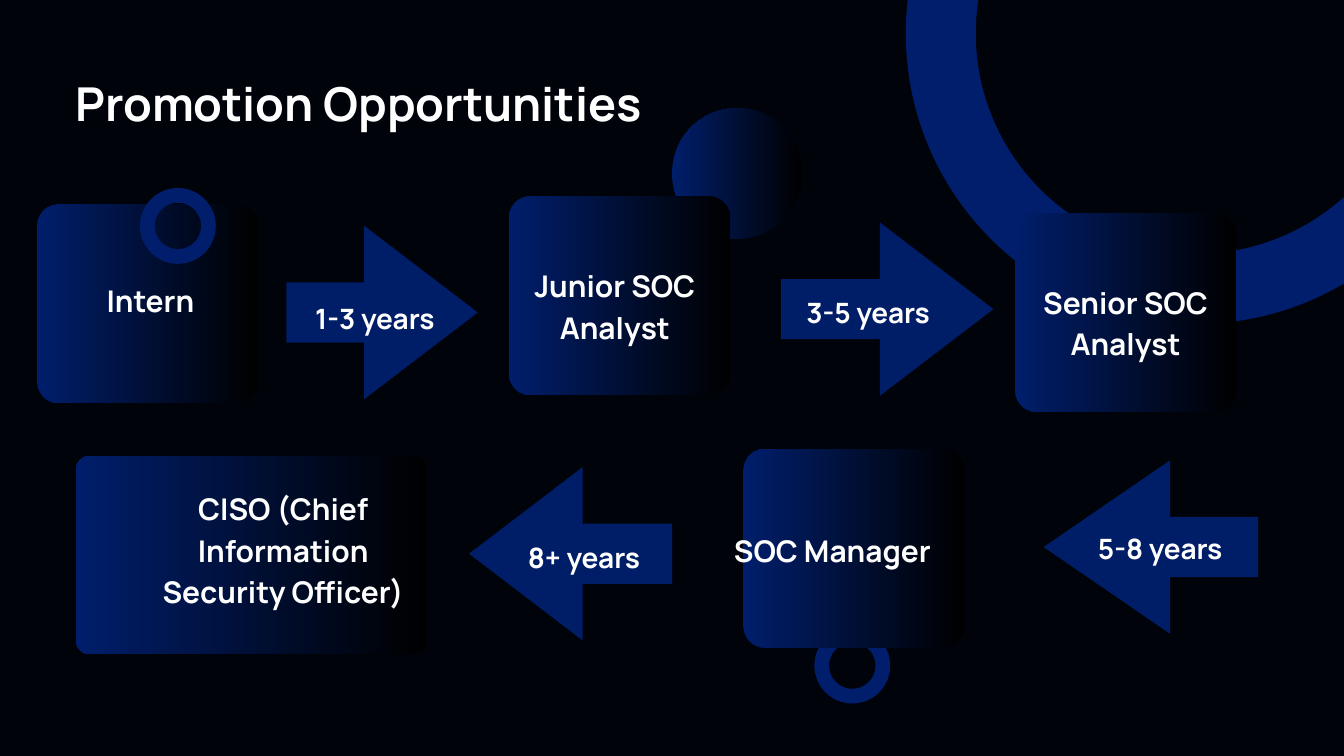
from pptx import Presentation
from pptx.dml.color import RGBColor
from pptx.enum.shapes import MSO_SHAPE
from pptx.enum.text import MSO_ANCHOR, PP_ALIGN
from pptx.util import Pt

COLORS = {"night": "00030A", "ring": "001E6B", "arrow": "001D67",
          "shade": "000000", "text": "FFFFFF"}
CARD_HEIGHT = 213
ARROW_HEIGHT = 185.8

deck = Presentation()
deck.slide_width, deck.slide_height = Pt(1440), Pt(810)
page = deck.slides.add_slide(deck.slide_layouts[5])
page.background.fill.solid()
page.background.fill.fore_color.rgb = RGBColor.from_string(COLORS["night"])


def add_figure(kind, left, top, width, height, fill=None, outline=None):
    shape = page.shapes.add_shape(kind, Pt(left), Pt(top), Pt(width), Pt(height))
    shape.shadow.inherit = False
    if fill == "gradient":
        shape.fill.gradient()
        shape.fill.gradient_angle = 0
        for stop, name in zip(shape.fill.gradient_stops, ("ring", "shade")):
            stop.color.rgb = RGBColor.from_string(COLORS[name])
    elif fill:
        shape.fill.solid()
        shape.fill.fore_color.rgb = RGBColor.from_string(COLORS[fill])
    else:
        shape.fill.background()
    if outline:
        shape.line.color.rgb = RGBColor.from_string(COLORS["ring"])
        shape.line.width = Pt(outline)
    else:
        shape.line.fill.background()
    return shape


def write(box, words, size, align):
    frame = box.text_frame
    frame.word_wrap = True
    frame.vertical_anchor = MSO_ANCHOR.TOP
    frame.margin_left = frame.margin_right = frame.margin_top = frame.margin_bottom = 0
    para = frame.paragraphs[0]
    para.alignment = align
    para.line_spacing = Pt(size * 1.4)
    span = para.add_run()
    span.text = words
    span.font.name = "Manrope"
    span.font.size = Pt(size)
    span.font.bold = True
    span.font.color.rgb = RGBColor.from_string(COLORS["text"])


title = page.shapes.title
title.left, title.top, title.width, title.height = Pt(80.9), Pt(69.8), Pt(948), Pt(71.3)
write(title, "Promotion Opportunities", 50, PP_ALIGN.LEFT)

add_figure(MSO_SHAPE.OVAL, 1008, -237.6, 547.2, 547.2, outline=75)
add_figure(MSO_SHAPE.OVAL, 720, 115.9, 139.7, 139.7, fill="gradient")
add_figure(MSO_SHAPE.OVAL, 880.4, 680.4, 65.5, 65.5, outline=15.75)

cards = [
    (39.6, 219, 237, 23),
    (545, 210.4, 237, 23),
    (1087.4, 228.4, 237, 23),
    (796.3, 480.9, 237, 23),
    (80.9, 488.2, 375.8, 15),
]
for left, top, width, radius in cards:
    card = add_figure(MSO_SHAPE.ROUNDED_RECTANGLE, left, top, width, CARD_HEIGHT, fill="gradient")
    card.adjustments[0] = radius / CARD_HEIGHT

add_figure(MSO_SHAPE.OVAL, 157.8, 209.3, 65.5, 65.5, outline=15.75)

arrows = [
    (MSO_SHAPE.RIGHT_ARROW, 306.7, 241.9, 205.2, 121.7),
    (MSO_SHAPE.RIGHT_ARROW, 836.9, 238.3, 227.5, 121.7),
    (MSO_SHAPE.LEFT_ARROW, 1118.2, 493.2, 229.7, 135.4),
    (MSO_SHAPE.LEFT_ARROW, 502.6, 500.4, 217.4, 121.7),
]
for kind, left, top, width, head in arrows:
    arrow = add_figure(kind, left, top, width, ARROW_HEIGHT, fill="arrow")
    arrow.adjustments[0] = 64.4 / ARROW_HEIGHT
    arrow.adjustments[1] = head / ARROW_HEIGHT

labels = [
    ("Intern", 44.6, 295.9, 233.3, 44.6, 32),
    ("Junior SOC Analyst", 542.2, 280.1, 233.3, 88.6, 32),
    ("Senior SOC Analyst", 1089.4, 298.1, 233.3, 88.6, 32),
    ("SOC Manager", 775.4, 563.8, 233.3, 44.6, 32),
    ("CISO (Chief Information Security Officer)", 160.6, 519.1, 285.8, 133.2, 32),
    ("1-3 years", 313.9, 316.8, 175.7, 42.5, 30),
    ("3-5 years", 840.2, 310.3, 180, 42.5, 30),
    ("5-8 years", 1154.2, 563.8, 177.8, 42.5, 30),
    ("8+ years", 542.2, 573.1, 167, 42.5, 30),
]
for words, left, top, width, height, size in labels:
    box = page.shapes.add_textbox(Pt(left), Pt(top), Pt(width), Pt(height))
    write(box, words, size, PP_ALIGN.CENTER)

deck.save("out.pptx")
